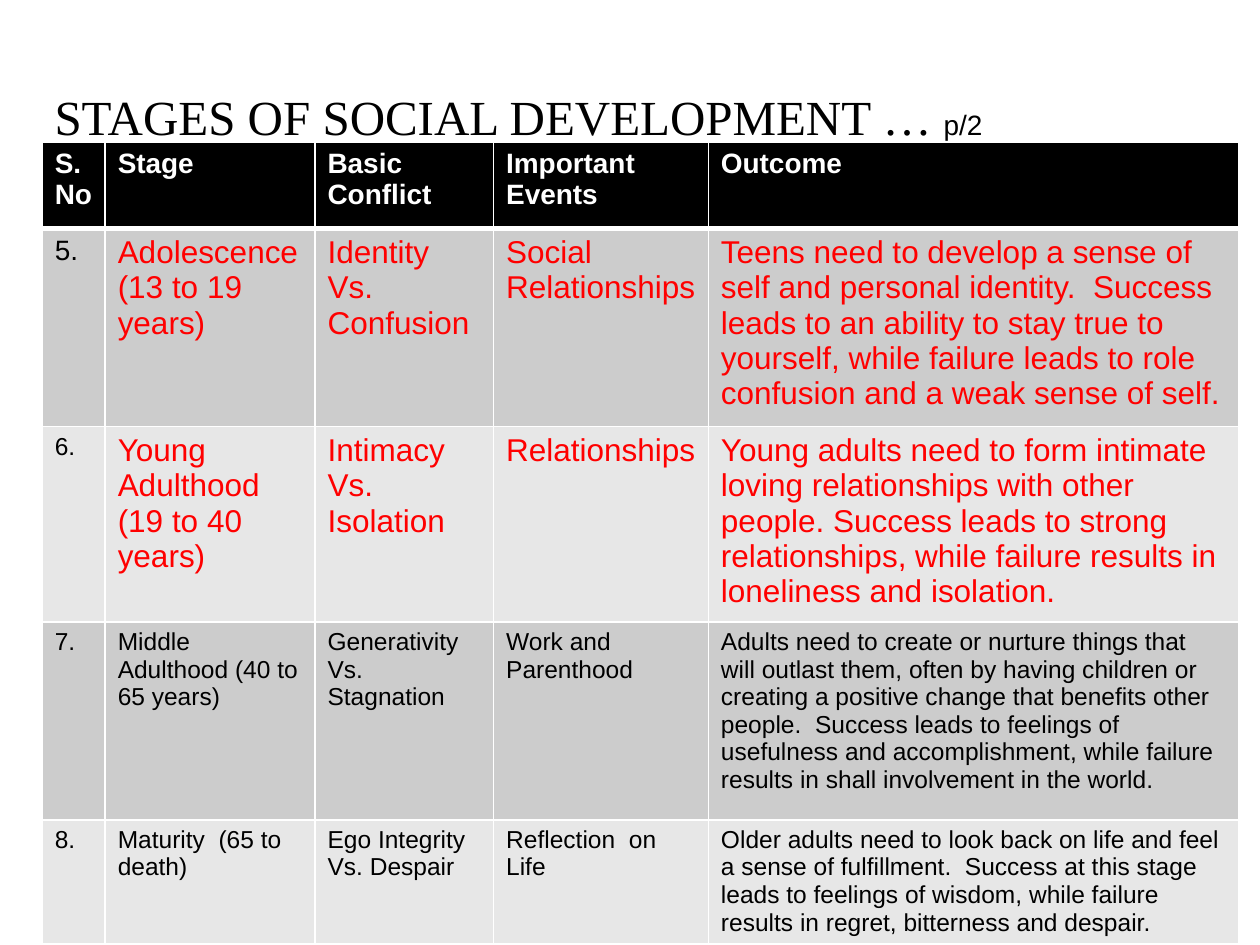
from lxml.etree import SubElement
from pptx import Presentation
from pptx.dml.color import RGBColor
from pptx.enum.text import MSO_ANCHOR as Anchor
from pptx.oxml.ns import qn
from pptx.util import Cm, Pt

BLACK, WHITE, RED = "000000", "FFFFFF", "FF0000"
BANDS = ["CCCCCC", "E7E7E7"]
COLUMN_WIDTHS = [1.27, 4.23, 3.6, 4.33, 10.69]
ROW_HEIGHTS = [1.75, 3.99, 3.81, 3.99, 2.46]

STAGES = [
    ["S.No", "Stage", "Basic Conflict", "Important Events", "Outcome"],
    ["5.", "Adolescence (13 to 19 years)", "Identity Vs. Confusion",
     "Social Relationships",
     "Teens need to develop a sense of self and personal identity.  Success "
     "leads to an ability to stay true to yourself, while failure leads to "
     "role confusion and a weak sense of self."],
    ["6.", "Young Adulthood\n(19 to 40 years)", "Intimacy Vs. Isolation",
     "Relationships",
     "Young adults need to form intimate loving relationships with other "
     "people. Success leads to strong relationships, while failure results "
     "in loneliness and isolation."],
    ["7.", "Middle Adulthood (40 to 65 years)", "Generativity Vs. Stagnation",
     "Work and Parenthood",
     "Adults need to create or nurture things that will outlast them, often "
     "by having children or creating a positive change that benefits other "
     "people.  Success leads to feelings of usefulness and accomplishment, "
     "while failure results in shall involvement in the world."],
    ["8.", "Maturity  (65 to death)", "Ego Integrity Vs. Despair",
     "Reflection  on Life",
     "Older adults need to look back on life and feel a sense of "
     "fulfillment.  Success at this stage leads to feelings of wisdom, while "
     "failure results in regret, bitterness and despair."],
]


def color(code):
    return RGBColor.from_string(code)


def set_font(font, size, code, name="Arial", bold=False):
    font.name, font.size, font.bold = name, Pt(size), bold
    font.color.rgb = color(code)


def add_title(page, left, top, width, height):
    box = page.shapes.add_textbox(Cm(left), Cm(top), Cm(width), Cm(height))
    frame = box.text_frame
    frame.word_wrap = True
    frame.vertical_anchor = Anchor.MIDDLE
    para = frame.paragraphs[0]
    for text, size, name in [
        ("STAGES OF SOCIAL DEVELOPMENT … ", 28, "Times New Roman"),
        ("p/2", 16, "Arial"),
    ]:
        span = para.add_run()
        span.text = text
        set_font(span.font, size, BLACK, name)


def cell_style(row, column):
    if row == 0:
        return 16, WHITE
    if row in (1, 2) and column > 0:
        return 18, RED
    return (16 if row == 1 else 14), BLACK


def set_borders(cell, row):
    properties = cell._tc.get_or_add_tcPr()
    widths = {"L": 1, "R": 1, "T": 3 if row == 1 else 1, "B": 3 if row == 0 else 1}
    for side, width in widths.items():
        line = SubElement(properties, qn(f"a:ln{side}"), w=str(Pt(width)))
        fill = SubElement(line, qn("a:solidFill"))
        SubElement(fill, qn("a:srgbClr"), val=WHITE)


def add_stage_table(page, left, top, width, height):
    table = page.shapes.add_table(
        len(STAGES), len(COLUMN_WIDTHS), Cm(left), Cm(top), Cm(width), Cm(height)
    ).table
    for column, size in zip(table.columns, COLUMN_WIDTHS):
        column.width = Cm(size)
    for row, size in zip(table.rows, ROW_HEIGHTS):
        row.height = Cm(size)
    for row, texts in enumerate(STAGES):
        for column, text in enumerate(texts):
            cell = table.cell(row, column)
            set_borders(cell, row)
            cell.fill.solid()
            cell.fill.fore_color.rgb = color(BANDS[(row - 1) % 2] if row else BLACK)
            cell.margin_bottom = Cm(0)
            cell.text = text
            for para in cell.text_frame.paragraphs:
                set_font(para.font, *cell_style(row, column), bold=row == 0)


def main():
    deck = Presentation()
    deck.slide_width, deck.slide_height = Cm(25.4), Cm(19.05)
    page = deck.slides.add_slide(deck.slide_layouts[6])
    add_title(page, 0.85, 1.27, 24.13, 2.12)
    add_stage_table(page, 0.85, 2.86, sum(COLUMN_WIDTHS), sum(ROW_HEIGHTS))
    deck.save("out.pptx")


if __name__ == "__main__":
    main()
